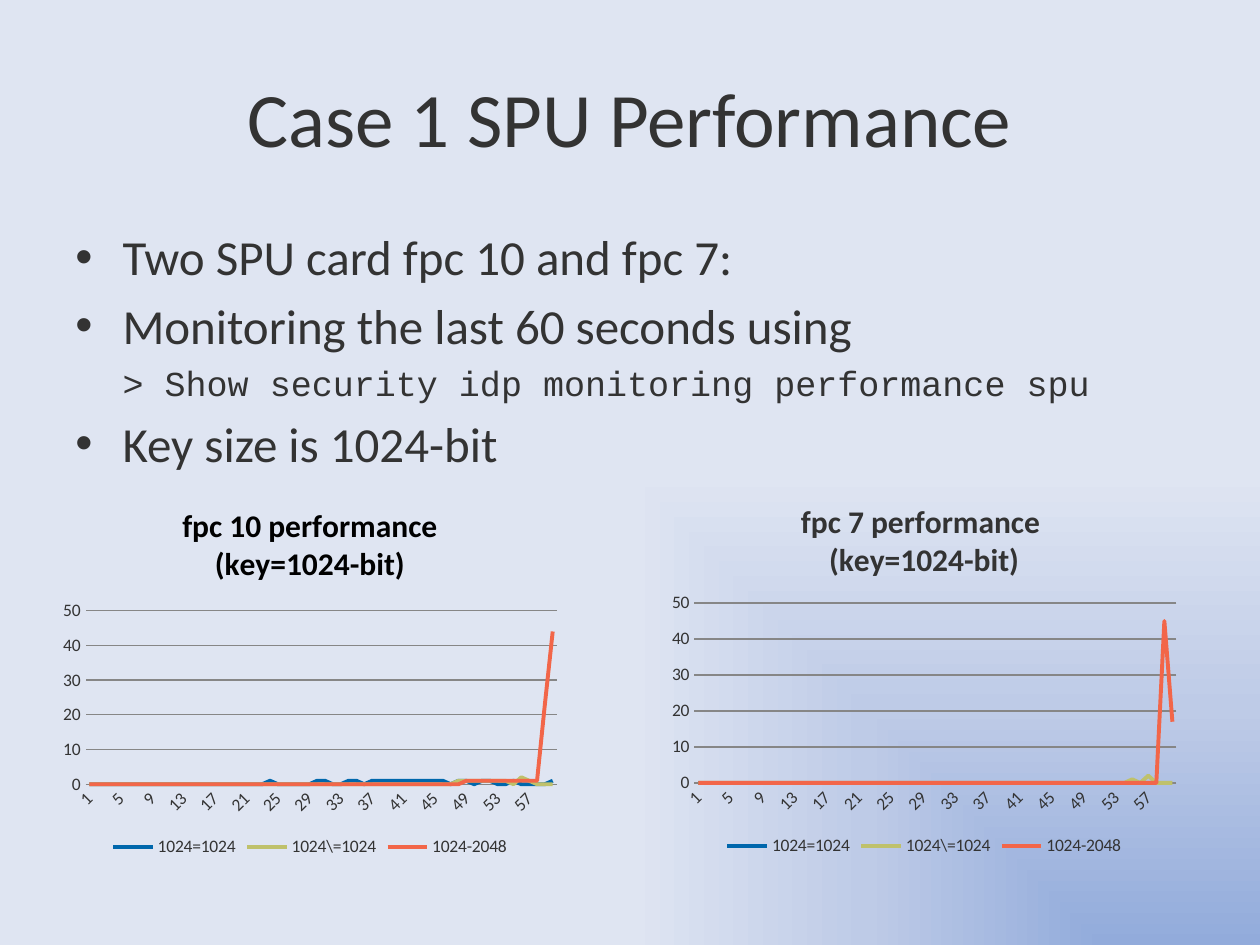
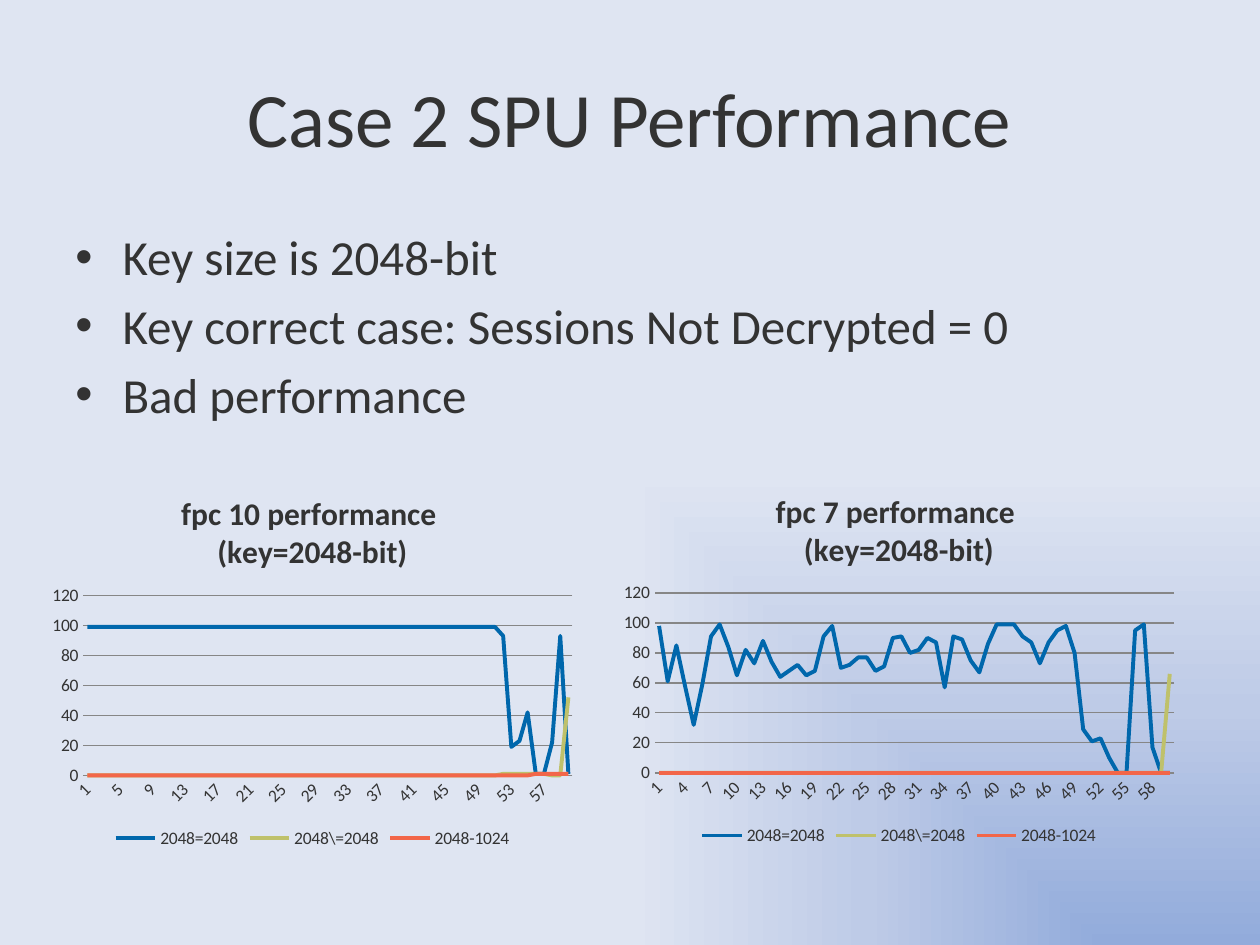
from dataclasses import dataclass

from pptx import Presentation
from pptx.chart.data import CategoryChartData
from pptx.dml.color import RGBColor
from pptx.enum.chart import XL_CHART_TYPE, XL_LEGEND_POSITION, XL_TICK_MARK
from pptx.enum.text import MSO_ANCHOR, PP_ALIGN
from pptx.oxml import parse_xml
from pptx.oxml.ns import nsdecls, qn
from pptx.util import Inches, Pt

COLS, ROWS = 100, 75
SPAN = 60  # seconds shown in each chart


@dataclass(frozen=True)
class Theme:
    font: str = "Calibri"
    mono: str = "Courier New"
    ink: str = "333333"
    black: str = "000000"
    grid: str = "868686"
    lines: tuple = ("0067AC", "BFC16B", "F26649")
    glow: tuple = ((0, "92ABDB"), (50, "BECBE7"), (100, "DFE5F2"))
    title: int = 44
    body: int = 28
    code: int = 20
    head: int = 18
    label: int = 10
    stroke: float = 2.25


def style(font, theme, size, color=None, name=None, bold=False):
    font.name = name or theme.font
    font.size = Pt(size)
    font.bold = bold
    font.color.rgb = RGBColor.from_string(color or theme.ink)


def write(para, text, theme, align=None, gap=0, **form):
    """Put one run in a paragraph; gap is the space before, in points."""
    run = para.add_run()
    run.text = text
    style(run.font, theme, **form)
    if align is not None:
        para.alignment = align
    if gap:
        para.space_before = Pt(gap)


def indent(para, bullet):
    props = para._p.get_or_add_pPr()
    left = Inches(0.375)
    props.set("marL", str(left))
    props.set("indent", str(-left if bullet else 0))
    if bullet:
        mark = f'<a:buFont {nsdecls("a")} typeface="Arial"/>'
        props.append(parse_xml(mark))
        props.append(parse_xml(f'<a:buChar {nsdecls("a")} char="•"/>'))


class Deck:
    """Holds the theme and the slide being filled; places are in grid cells."""

    def __init__(self, theme):
        self.theme = theme
        self.prs = Presentation()
        self.prs.slide_width = Inches(10)
        self.prs.slide_height = Inches(7.5)
        self.slide = None
        self.shade()

    def shade(self):
        """Give the master a gradient that grows from the lower right corner."""
        master = self.prs.slide_master
        master.background.fill.gradient()
        old = next(master.element.iter(qn("a:gradFill")))
        stops = "".join(
            f'<a:gs pos="{pos * 1000}"><a:srgbClr val="{color}"/></a:gs>'
            for pos, color in self.theme.glow
        )
        new = parse_xml(
            f'<a:gradFill {nsdecls("a")} rotWithShape="1"><a:gsLst>{stops}</a:gsLst>'
            '<a:path path="rect"><a:fillToRect l="100000" t="100000"/></a:path>'
            "</a:gradFill>"
        )
        old.getparent().replace(old, new)

    def place(self, col, row, wide, high):
        x, y = self.prs.slide_width / COLS, self.prs.slide_height / ROWS
        return int(col * x), int(row * y), int(wide * x), int(high * y)

    def page(self, title):
        self.slide = self.prs.slides.add_slide(self.prs.slide_layouts[6])
        frame = self.box(5, 3, 90, 12.5)
        frame.vertical_anchor = MSO_ANCHOR.MIDDLE
        write(frame.paragraphs[0], title, self.theme,
              size=self.theme.title, align=PP_ALIGN.CENTER)

    def box(self, *cells):
        frame = self.slide.shapes.add_textbox(*self.place(*cells)).text_frame
        frame.word_wrap = True
        return frame

    def points(self, items):
        """Write bulleted lines; one that starts with > is set as a command."""
        theme = self.theme
        frame = self.box(5, 17.5, 90, 49.5)
        for num, item in enumerate(items):
            para = frame.add_paragraph() if num else frame.paragraphs[0]
            code = item.startswith(">")
            size = theme.code if code else theme.body
            write(para, item, theme, size=size, gap=size * 0.2,
                  name=theme.mono if code else None)
            indent(para, bullet=not code)

    def chart(self, cells, title, series, color=None):
        theme = self.theme
        data = CategoryChartData()
        data.categories = [str(sec) for sec in range(1, SPAN + 1)]
        for name, vals in series.items():
            data.add_series(name, vals)
        chart = self.slide.shapes.add_chart(
            XL_CHART_TYPE.LINE, *self.place(*cells), data).chart
        style(chart.font, theme, theme.label)

        frame = chart.chart_title.text_frame
        for num, line in enumerate(title.split("\n")):
            para = frame.add_paragraph() if num else frame.paragraphs[0]
            write(para, line, theme, size=theme.head, color=color, bold=True)
        chart.chart_title.include_in_layout = False

        chart.has_legend = True
        chart.legend.position = XL_LEGEND_POSITION.BOTTOM
        chart.legend.include_in_layout = False

        grey = RGBColor.from_string(theme.grid)
        cat, val = chart.category_axis, chart.value_axis
        for axis in (cat, val):
            axis.major_tick_mark = axis.minor_tick_mark = XL_TICK_MARK.NONE
        cat.format.line.color.rgb = grey
        val.format.line.fill.background()
        val.has_major_gridlines = True
        val.major_gridlines.format.line.color.rgb = grey

        plot = chart.plots[0]
        plot.vary_by_categories = False
        for line, tint in zip(plot.series, theme.lines):
            line.smooth = False
            line.format.line.width = Pt(theme.stroke)
            line.format.line.color.rgb = RGBColor.from_string(tint)


def pad(*tail, base=0):
    """Fill the seconds before the tail with one steady value."""
    return [base] * (SPAN - len(tail)) + list(tail)


def main():
    theme = Theme()
    deck = Deck(theme)

    deck.page("Case 1 SPU Performance")
    deck.points([
        "Two SPU card fpc 10 and fpc 7:",
        "Monitoring the last 60 seconds using",
        "> Show security idp monitoring performance spu",
        "Key size is 1024-bit",
    ])
    deck.chart((4.2, 38.4, 40.8, 30), "fpc 10 performance (key=1024-bit)", {
        "1024=1024": pad(1, 0, 0, 0, 0, 0, 1, 1, 0, 0, 1, 1, 0, *[1] * 10,
                         0, 1, 1, 0, 1, 1, 0, 0, 1, 0, 0, 0, 0, 1),
        "1024\\=1024": pad(*[1] * 7, 0, 2, 1, 0, 0, 0),
        "1024-2048": pad(*[1] * 10, 23, 44),
    }, color=theme.black)
    deck.chart((52.5, 38.3, 41.7, 30), "fpc 7 performance \n(key=1024-bit)", {
        "1024=1024": pad(),
        "1024\\=1024": pad(1, 0, 2, 0, 0, 0),
        "1024-2048": pad(45, 17),
    })

    deck.page("Case 2 SPU Performance")
    deck.points([
        "Key size is 2048-bit",
        "Key correct case: Sessions Not Decrypted = 0",
        "Bad performance",
    ])
    deck.chart((3.3, 37.7, 43, 30), "fpc 10 performance \n(key=2048-bit)", {
        "2048=2048": pad(93, 19, 23, 42, 1, 1, 22, 93, 1, base=99),
        "2048\\=2048": pad(*[1] * 6, 0, 0, 52),
        "2048-1024": pad(*[1] * 5),
    })
    deck.chart((48.6, 37.5, 45.5, 30), "fpc 7 performance \n(key=2048-bit)", {
        "2048=2048": [
            98, 61, 85, 58, 32, 59, 91, 99, 84, 65, 82, 73, 88, 74, 64,
            68, 72, 65, 68, 91, 98, 70, 72, 77, 77, 68, 71, 90, 91, 80,
            82, 90, 87, 57, 91, 89, 75, 67, 86, 99, 99, 99, 91, 87, 73,
            87, 95, 98, 80, 29, 21, 23, 10, 0, 0, 95, 99, 17, 0, 0],
        "2048\\=2048": pad(66),
        "2048-1024": pad(),
    })

    deck.prs.save("out.pptx")


if __name__ == "__main__":
    main()
